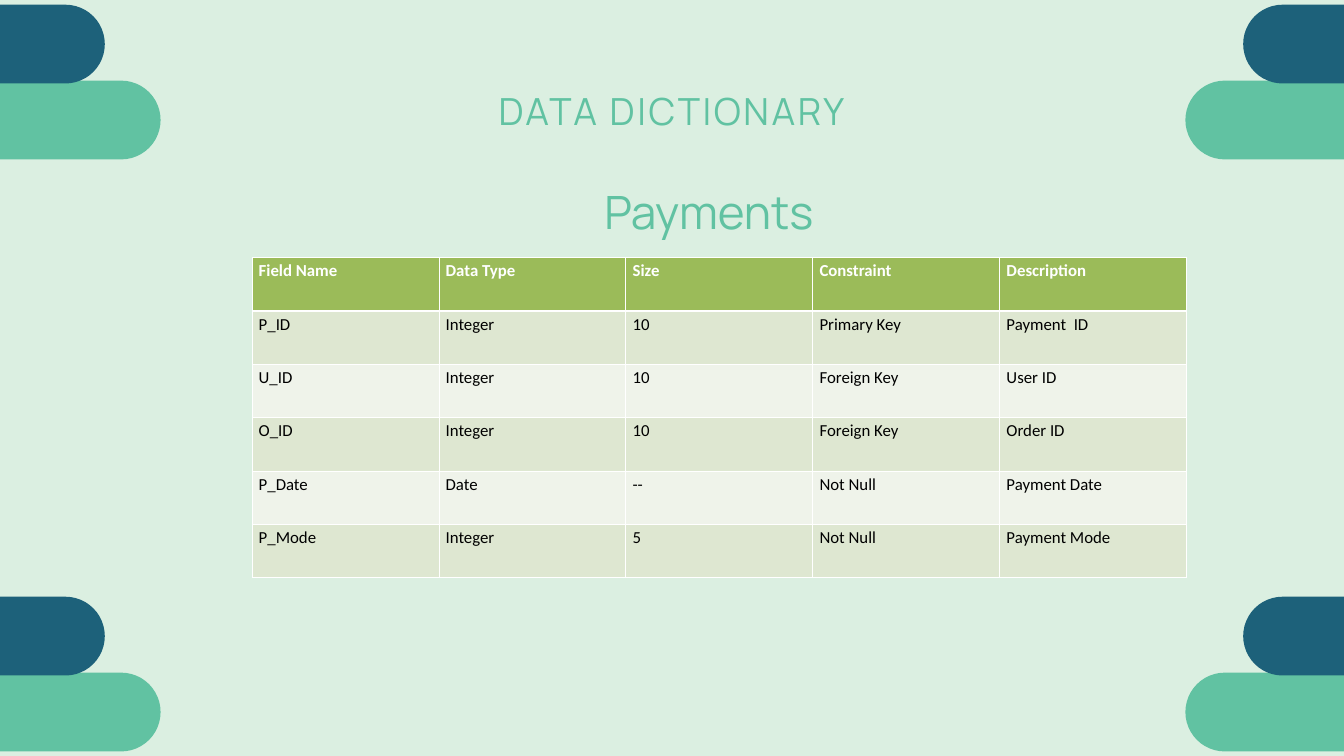
"""Build the Payments data dictionary slide."""
from dataclasses import dataclass

from lxml import etree
from pptx import Presentation
from pptx import util as u
from pptx.dml import color
from pptx.enum import shapes, text
from pptx.oxml import ns

COLS, ROWS = 80, 45
WIDTH, HEIGHT = u.Inches(20), u.Inches(11.25)


@dataclass(frozen=True)
class Theme:
    background: str = "DBEFE1"
    teal: str = "61C2A2"
    navy: str = "1D617A"
    header: str = "9BBB59"
    bands: tuple[str, str] = ("DEE7D1", "EFF3EA")
    white: str = "FFFFFF"
    black: str = "000000"
    heading_font: str = "Manrope"
    table_font: str = "Calibri"
    title_size: float = 40
    subtitle_size: float = 49.1
    table_size: float = 18
    thin: float = 1
    thick: float = 3


@dataclass(frozen=True)
class Box:
    col: float
    row: float
    cols: float
    rows: float

    def emu(self) -> tuple[int, int, int, int]:
        return (int(self.col * WIDTH / COLS), int(self.row * HEIGHT / ROWS),
                int(self.cols * WIDTH / COLS), int(self.rows * HEIGHT / ROWS))


@dataclass(frozen=True)
class Heading:
    words: str
    box: Box
    size: float
    leading: float
    spacing: float = 0


THEME = Theme()
PILL_COLS, PILL_ROWS, PILL_STEP = 12.12, 4.69, 4.52
STACK_TOPS = (0.28, 35.52)
STACK_COLUMNS = ((-2.56, -5.88), (70.56, 74))
HEADINGS = (
    Heading("DATA DICTIONARY", Box(27.48, 5.24, 25, 2.68), THEME.title_size, 48, 2.8),
    Heading("Payments", Box(30.36, 10.36, 23.68, 3.88), THEME.subtitle_size, 68.7),
)
TABLE_BOX = Box(15, 15.32, 55.64, 19.08)
FIELDS = (
    ("Field Name", "Data Type", "Size", "Constraint", "Description"),
    ("P_ID", "Integer", "10", "Primary Key", "Payment  ID"),
    ("U_ID", "Integer", "10", "Foreign Key", "User ID"),
    ("O_ID", "Integer", "10", "Foreign Key", "Order ID"),
    ("P_Date", "Date", "--", "Not Null", "Payment Date"),
    ("P_Mode", "Integer", "5", "Not Null", "Payment Mode"),
)


def rgb(value: str) -> color.RGBColor:
    return color.RGBColor.from_string(value)


def style_run(r, font: str, size: float, ink: str, bold: bool = False) -> None:
    r.font.name, r.font.size, r.font.bold = font, u.Pt(size), bold
    r.font.color.rgb = rgb(ink)


def draw_pill(s, box: Box, fill: str) -> None:
    sp = s.shapes.add_shape(shapes.MSO_SHAPE.ROUNDED_RECTANGLE, *box.emu())
    sp.adjustments[0] = 0.5
    sp.shadow.inherit = False
    sp.fill.solid()
    sp.fill.fore_color.rgb = rgb(fill)
    sp.line.fill.background()


def draw_stack(s, top: float, teal_col: float, navy_col: float) -> None:
    draw_pill(s, Box(teal_col, top + PILL_STEP, PILL_COLS, PILL_ROWS), THEME.teal)
    draw_pill(s, Box(navy_col, top, PILL_COLS, PILL_ROWS), THEME.navy)


def draw_heading(s, heading: Heading) -> None:
    tf = s.shapes.add_textbox(*heading.box.emu()).text_frame
    tf.margin_left = tf.margin_top = tf.margin_right = tf.margin_bottom = 0
    tf.word_wrap = True
    tf.auto_size = text.MSO_AUTO_SIZE.SHAPE_TO_FIT_TEXT
    tf.text = heading.words
    p = tf.paragraphs[0]
    p.alignment = text.PP_ALIGN.CENTER
    p.line_spacing = u.Pt(heading.leading)
    r = p.runs[0]
    style_run(r, THEME.heading_font, heading.size, THEME.teal)
    if heading.spacing:
        r.font._element.set("spc", str(round(heading.spacing * 100)))


def set_borders(cell, top: float, bottom: float) -> None:
    tc_pr = cell._tc.get_or_add_tcPr()
    widths = {"lnL": THEME.thin, "lnR": THEME.thin, "lnT": top, "lnB": bottom}
    for side, width in widths.items():
        ln = etree.SubElement(tc_pr, ns.qn(f"a:{side}"), w=str(u.Pt(width)))
        fill = etree.SubElement(ln, ns.qn("a:solidFill"))
        etree.SubElement(fill, ns.qn("a:srgbClr"), val=THEME.white)


def draw_cell(cell, words: str, row: int) -> None:
    is_header = row == 0
    set_borders(cell, THEME.thick if row == 1 else THEME.thin,
                THEME.thick if is_header else THEME.thin)
    cell.fill.solid()
    cell.fill.fore_color.rgb = rgb(THEME.header if is_header else THEME.bands[(row - 1) % 2])
    cell.text_frame.text = words
    style_run(cell.text_frame.paragraphs[0].runs[0], THEME.table_font, THEME.table_size,
              THEME.white if is_header else THEME.black, is_header)


def draw_table(s, box: Box, rows: tuple[tuple[str, ...], ...]) -> None:
    table = s.shapes.add_table(len(rows), len(rows[0]), *box.emu()).table
    for i, row in enumerate(rows):
        for j, words in enumerate(row):
            draw_cell(table.cell(i, j), words, i)


def main() -> None:
    prs = Presentation()
    prs.slide_width, prs.slide_height = WIDTH, HEIGHT
    s = prs.slides.add_slide(prs.slide_layouts[6])
    s.background.fill.solid()
    s.background.fill.fore_color.rgb = rgb(THEME.background)
    for teal_col, navy_col in STACK_COLUMNS:
        for top in STACK_TOPS:
            draw_stack(s, top, teal_col, navy_col)
    for heading in HEADINGS:
        draw_heading(s, heading)
    draw_table(s, TABLE_BOX, FIELDS)
    prs.save("out.pptx")


if __name__ == "__main__":
    main()
